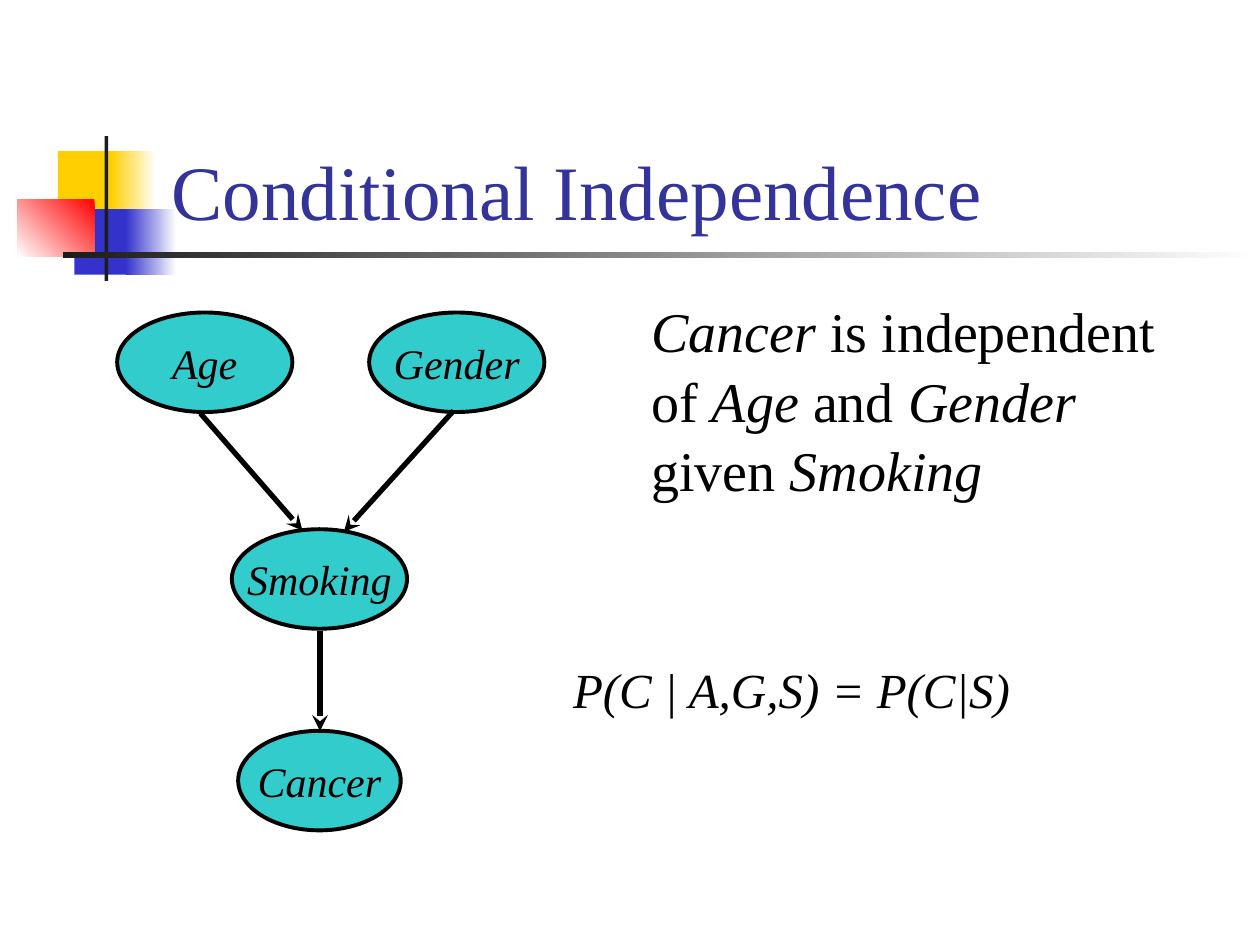
"""Build the Conditional Independence slide with its Bayesian network."""
import pptx
import pptx.util
import pptx.dml.color
import pptx.enum.shapes
import pptx.enum.text
import pptx.oxml
import pptx.oxml.ns

Inches, Pt = pptx.util.Inches, pptx.util.Pt
MSO_SHAPE = pptx.enum.shapes.MSO_SHAPE
ANCHOR, ALIGN = pptx.enum.text.MSO_ANCHOR, pptx.enum.text.PP_ALIGN

THEME = {
    "font": "Times New Roman",
    "title": "333399", "ink": "000000", "node": "33CCCC", "paper": "FFFFFF",
    "yellow": "FFCF01", "blue": "3333CC", "red": "FF0000", "rule": "1C1C1C",
    "title_size": 44, "body_size": 32, "formula_size": 28, "node_size": 24,
    "node_line": 2.25, "arrow_line": 3, "spacing": 1.04,
}

TITLE = "Conditional Independence"
STATEMENT = [("Cancer", True), (" is independent of ", False), ("Age", True),
             (" and ", False), ("Gender", True), (" given ", False), ("Smoking", True)]
FORMULA = [("P(C | A,G,S) = P(C|S)", True)]

# name, left, top, width, height, colour, fade angle
DECOR = [
    ((0.46, 1.2, 0.48, 0.52), "yellow", None),
    ((0.88, 1.2, 0.36, 0.52), "yellow", 0),
    ((0.59, 1.66, 0.46, 0.52), "blue", None),
    ((1, 1.66, 0.4, 0.52), "blue", 0),
    ((0.14, 1.58, 0.61, 0.46), "red", 225),
    ((0.83, 1.08, 0.03, 1.15), "rule", None),
    ((0.5, 2, 9.5, 0.05), "rule", 0),
]
NODE_HEIGHT = 0.79
NODES = [("Smoking", 1.84, 4.2, 1.39), ("Gender", 2.93, 2.48, 1.39),
         ("Age", 0.93, 2.48, 1.39), ("Cancer", 1.89, 5.8, 1.29)]
ARROWS = [(3.6, 3.26, 2.73, 4.22), (1.59, 3.28, 2.4, 4.21), (2.54, 5.01, 2.54, 5.8)]


def rgb(name):
    return pptx.dml.color.RGBColor.from_string(THEME[name])


def style(r, size, color="ink", italic=False):
    r.font.name = THEME["font"]
    r.font.size = Pt(THEME[size])
    r.font.color.rgb = rgb(color)
    r.font.italic = italic


def add_shape(s, kind, box, color):
    sp = s.shapes.add_shape(kind, *map(Inches, box))
    sp.shadow.inherit = False
    sp.fill.solid()
    sp.fill.fore_color.rgb = rgb(color)
    sp.line.fill.background()
    return sp


def add_decor(s, box, color, angle):
    sp = add_shape(s, MSO_SHAPE.RECTANGLE, box, color)
    if angle is not None:
        sp.fill.gradient()
        sp.fill.gradient_angle = angle
        for stop, name in zip(sp.fill.gradient_stops, (color, "paper")):
            stop.color.rgb = rgb(name)


def add_node(s, name, left, top, width):
    sp = add_shape(s, MSO_SHAPE.OVAL, (left, top, width, NODE_HEIGHT), "node")
    sp.line.color.rgb = rgb("ink")
    sp.line.width = Pt(THEME["node_line"])
    tf = sp.text_frame
    tf.word_wrap = False
    tf.vertical_anchor = ANCHOR.MIDDLE
    tf.text = name
    p = tf.paragraphs[0]
    p.alignment = ALIGN.CENTER
    style(p.runs[0], "node_size", italic=True)


def add_arrow(s, ends):
    line = s.shapes.add_connector(pptx.enum.shapes.MSO_CONNECTOR.STRAIGHT, *map(Inches, ends))
    line.line.color.rgb = rgb("ink")
    line.line.width = Pt(THEME["arrow_line"])
    tail = pptx.oxml.parse_xml(
        f'<a:tailEnd {pptx.oxml.ns.nsdecls("a")} type="stealth"/>')
    line.line._get_or_add_ln().append(tail)
    line._element.spPr.append(
        pptx.oxml.parse_xml(f'<a:effectLst {pptx.oxml.ns.nsdecls("a")}/>'))


def add_text(s, box, parts, size, wrap):
    tf = s.shapes.add_textbox(*map(Inches, box)).text_frame
    tf.word_wrap = wrap
    p = tf.paragraphs[0]
    p.line_spacing = THEME["spacing"]
    for text, italic in parts:
        r = p.add_run()
        r.text = text
        style(r, size, italic=italic)


def add_title(s):
    sp = s.shapes.title
    sp.left, sp.top, sp.width, sp.height = map(Inches, (1.26, 0.67, 8.52, 1.25))
    tf = sp.text_frame
    tf.text = TITLE
    tf.vertical_anchor = ANCHOR.BOTTOM
    p = tf.paragraphs[0]
    p.alignment = ALIGN.LEFT
    style(p.runs[0], "title_size", "title")
    s.shapes._spTree.append(sp._element)


def main():
    prs = pptx.Presentation()
    prs.slide_width, prs.slide_height = Inches(10), Inches(7.5)
    s = prs.slides.add_slide(prs.slide_layouts[5])
    for decor in DECOR:
        add_decor(s, *decor)
    add_title(s)
    for node in NODES:
        add_node(s, *node)
    for ends in ARROWS:
        add_arrow(s, ends)
    add_text(s, (5.07, 2.28, 4.39, 1.7), STATEMENT, "body_size", True)
    add_text(s, (4.45, 5.17, 3.67, 0.57), FORMULA, "formula_size", False)
    prs.save("out.pptx")


if __name__ == "__main__":
    main()
